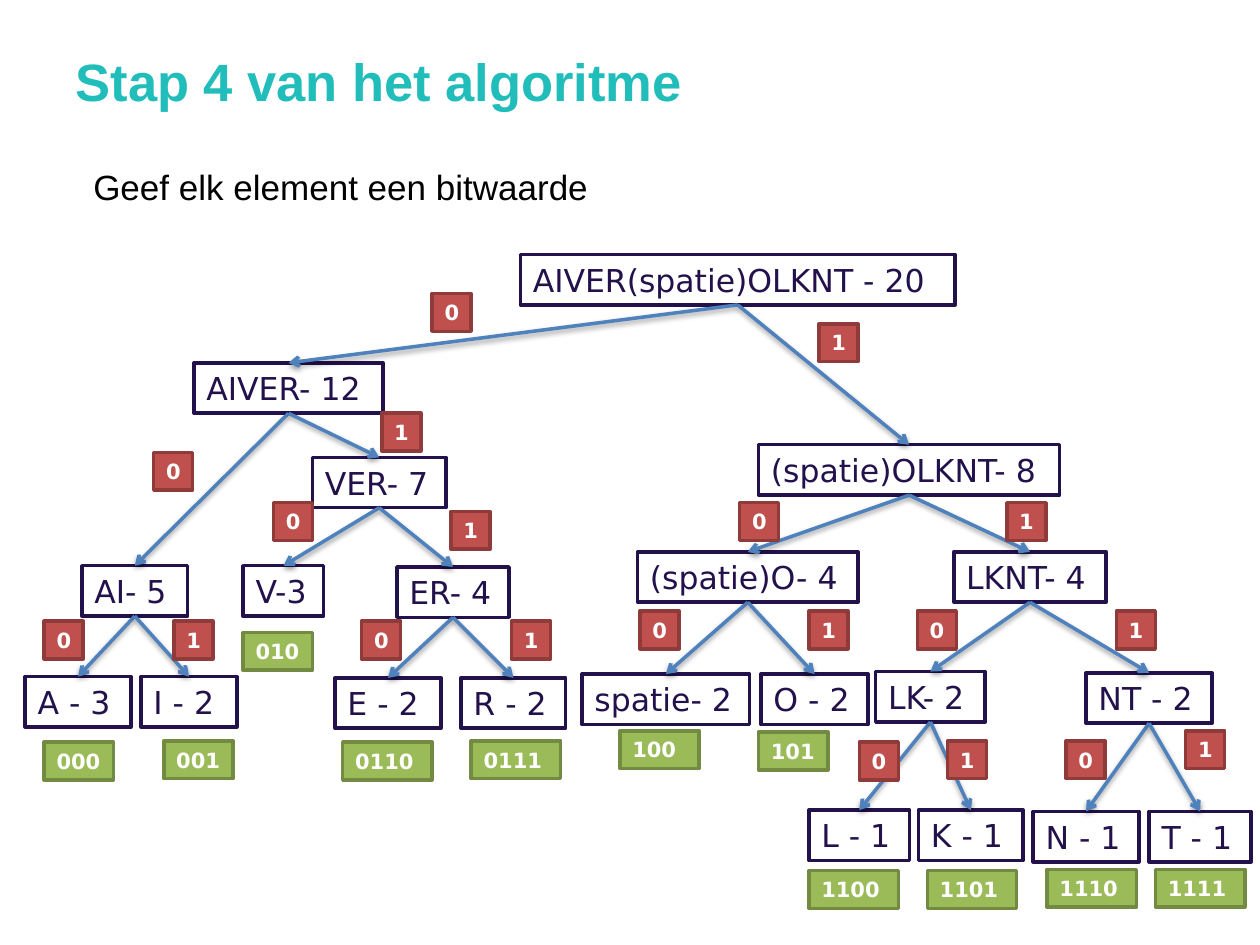
from lxml import etree
from pptx import Presentation
from pptx.dml.color import RGBColor
from pptx.enum.shapes import MSO_CONNECTOR, MSO_SHAPE
from pptx.enum.text import MSO_ANCHOR, MSO_AUTO_SIZE, PP_ALIGN
from pptx.oxml import parse_xml
from pptx.util import Inches, Pt

RECT, STRAIGHT = MSO_SHAPE.RECTANGLE, MSO_CONNECTOR.STRAIGHT
LEFT, TOP = PP_ALIGN.LEFT, MSO_ANCHOR.TOP
GROW, FIXED = MSO_AUTO_SIZE.SHAPE_TO_FIT_TEXT, MSO_AUTO_SIZE.NONE
NS = "http://schemas.openxmlformats.org/drawingml/2006/main"

# Content
TITLE = "Stap 4 van het algoritme"
BODY = "Geef elk element een bitwaarde"

# Tree nodes by bit code: label, left, top, width; the parent is the code less its last bit
NODES = {
    "": ("AIVER(spatie)OLKNT - 20", 4.13, 2.02, 3.45),
    "0": ("AIVER- 12", 1.54, 2.88, 1.5),
    "1": ("(spatie)OLKNT- 8", 6.02, 3.53, 2.39),
    "00": ("AI- 5", 0.65, 4.49, 0.84),
    "01": ("VER- 7", 2.48, 3.63, 1.06),
    "10": ("(spatie)O- 4", 5.06, 4.38, 1.75),
    "11": ("LKNT- 4", 7.57, 4.38, 1.21),
    "000": ("A - 3", 0.2, 5.37, 0.84),
    "001": ("I - 2", 1.12, 5.37, 0.76),
    "010": ("V-3", 1.93, 4.49, 0.64),
    "011": ("ER- 4", 3.15, 4.5, 0.89),
    "100": ("spatie- 2", 4.62, 5.35, 1.33),
    "101": ("O - 2", 6.04, 5.35, 0.85),
    "110": ("LK- 2", 6.95, 5.33, 0.87),
    "111": ("NT - 2", 8.62, 5.34, 1),
    "0110": ("E - 2", 2.66, 5.38, 0.84),
    "0111": ("R - 2", 3.66, 5.38, 0.83),
    "1100": ("L - 1", 6.42, 6.43, 0.8),
    "1101": ("K - 1", 7.29, 6.43, 0.83),
    "1110": ("N - 1", 8.2, 6.44, 0.84),
    "1111": ("T - 1", 9.12, 6.44, 0.81),
}
# Bit beside each branch: left, top
BITS = {
    "0": (3.43, 2.33), "1": (6.5, 2.57),
    "00": (1.22, 3.59), "01": (3.03, 3.28),
    "10": (5.87, 3.99), "11": (7.99, 3.99),
    "000": (0.35, 4.93), "001": (1.38, 4.93),
    "010": (2.17, 3.99), "011": (3.58, 4.06),
    "100": (5.08, 4.85), "101": (6.42, 4.85),
    "110": (7.28, 4.85), "111": (8.86, 4.85),
    "0110": (2.87, 4.93), "0111": (4.06, 4.93),
    "1100": (6.82, 5.89), "1101": (7.52, 5.88),
    "1110": (8.46, 5.88), "1111": (9.41, 5.8),
}
# Full code below each leaf: left, top, width
CODES = {
    "000": (0.35, 5.89, 0.55), "001": (1.3, 5.88, 0.55),
    "010": (1.93, 5.02, 0.55), "0110": (2.72, 5.89, 0.71),
    "0111": (3.74, 5.88, 0.71), "100": (4.92, 5.8, 0.63),
    "101": (6.02, 5.81, 0.55), "1100": (6.42, 6.91, 0.71),
    "1101": (7.36, 6.91, 0.71), "1110": (8.31, 6.9, 0.71),
    "1111": (9.17, 6.9, 0.71),
}

# Styles
NODE = {"fill": "FFFFFF", "line": "23114C", "ink": "23114C",
        "size": 18, "bold": False, "tall": 0.4, "wrap": False}
BIT = {"fill": "C0504D", "line": "8E3B39", "ink": "FFFFFF",
       "size": 12, "bold": True, "tall": 0.3, "wrap": True}
CODE = {**BIT, "fill": "9BBB59", "line": "738A42"}
SHADOW = (f'<a:effectLst xmlns:a="{NS}"><a:outerShdw blurRad="39370" dist="20320" '
          'dir="5400000" rotWithShape="0"><a:srgbClr val="000000">'
          '<a:alpha val="38000"/></a:srgbClr></a:outerShdw></a:effectLst>')


def color(part, tint):
    part.rgb = RGBColor.from_string(tint)


def write(shape, text, face, size, ink, bold, frame):
    """Put one left-aligned line of text in a shape."""
    box = shape.text_frame
    for name, value in frame.items():
        setattr(box, name, value)
    par = box.paragraphs[0]
    par.text, par.alignment = text, LEFT
    for name, value in {"name": face, "size": Pt(size), "bold": bold}.items():
        setattr(par.font, name, value)
    color(par.font.color, ink)
    return par


def place(shape, *spot):
    shape.left, shape.top, shape.width, shape.height = map(Inches, spot)


def add_box(slide, text, left, top, width, style):
    box = slide.shapes.add_shape(
        RECT, *map(Inches, (left, top, width, style["tall"])))
    box.shadow.inherit = False
    box.fill.solid()
    color(box.fill.fore_color, style["fill"])
    color(box.line.color, style["line"])
    box.line.width = Pt(2)
    write(box, text, "DejaVu Sans", style["size"], style["ink"], style["bold"],
          {"word_wrap": style["wrap"], "auto_size": GROW, "vertical_anchor": TOP})
    return box


def add_arrow(slide, start, end):
    """Join the bottom of one node to the top of another."""
    arrow = slide.shapes.add_connector(STRAIGHT, 0, 0, 0, 0)
    arrow.begin_connect(start, 2)
    arrow.end_connect(end, 0)
    color(arrow.line.color, "4F81BD")
    arrow.line.width = Pt(2)
    props = arrow.element.spPr
    etree.SubElement(props.find(f"{{{NS}}}ln"), f"{{{NS}}}tailEnd", type="arrow")
    props.append(parse_xml(SHADOW))


def main():
    deck = Presentation()
    deck.slide_width, deck.slide_height = Inches(10), Inches(7.5)
    slide = deck.slides.add_slide(deck.slide_layouts[5])

    # Title and body
    frame = {"word_wrap": True, "auto_size": FIXED, "vertical_anchor": TOP}
    title = slide.shapes.title
    place(title, 0.5, 0.3, 9, 0.77)
    write(title, TITLE, "Arial", 30, "20BDBA", True,
          {**frame, "margin_top": Inches(0.09)})
    body = slide.shapes.add_textbox(0, 0, 0, 0)
    place(body, 0.2, 1.23, 9.45, 0.44)
    write(body, BODY, "Arial", 20, "000102", False,
          {**frame, "margin_top": Inches(0.08), "margin_left": Inches(0.54)})

    # Tree, then bits and codes on top
    nodes = {code: add_box(slide, *node, NODE) for code, node in NODES.items()}
    for code in BITS:
        add_arrow(slide, nodes[code[:-1]], nodes[code])
    for code, (left, top) in BITS.items():
        add_box(slide, code[-1], left, top, 0.31, BIT)
    for code, spot in CODES.items():
        add_box(slide, code, *spot, CODE)

    deck.save("out.pptx")


if __name__ == "__main__":
    main()
